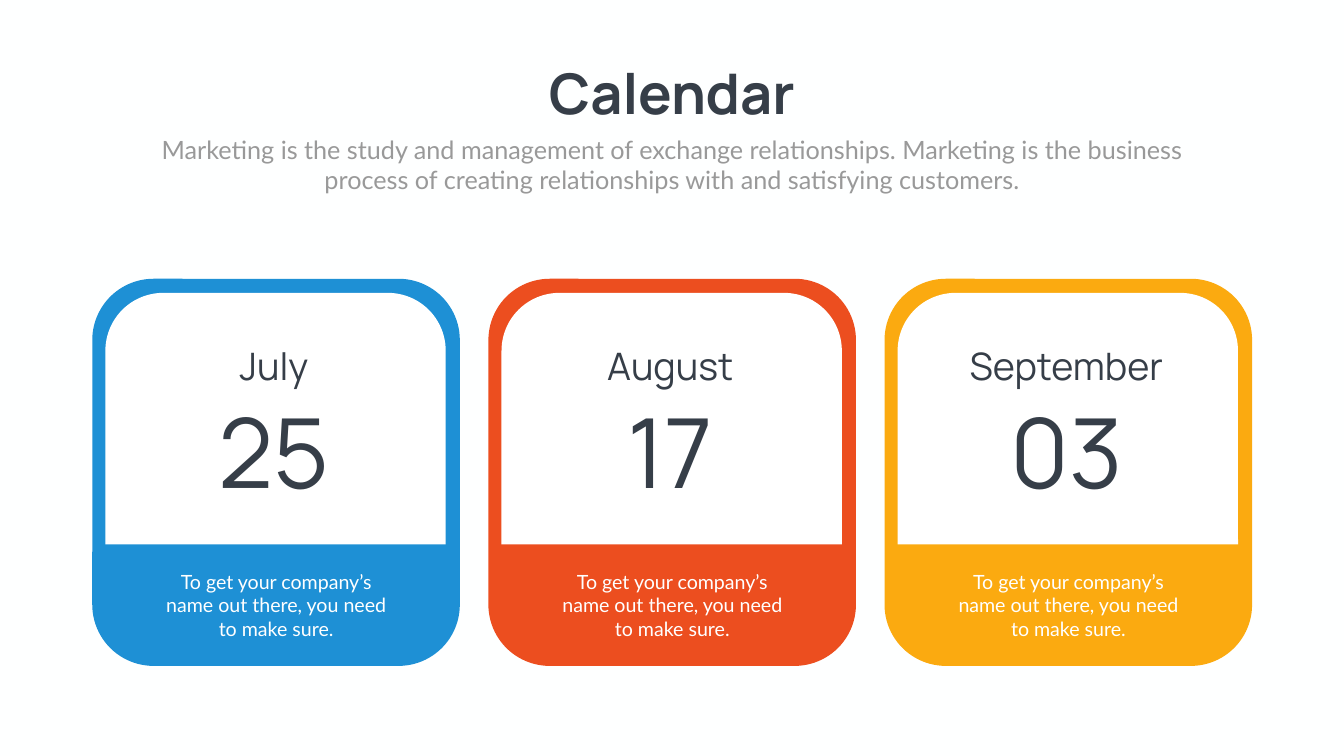
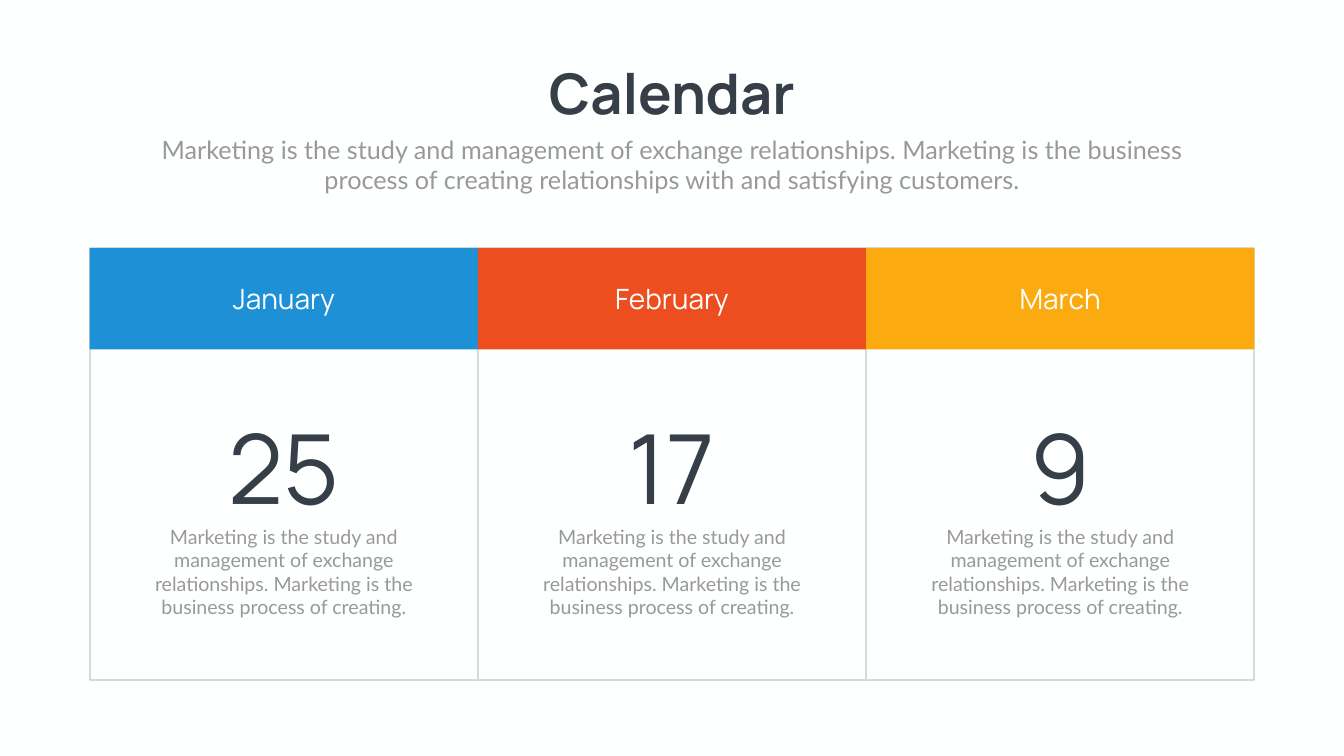
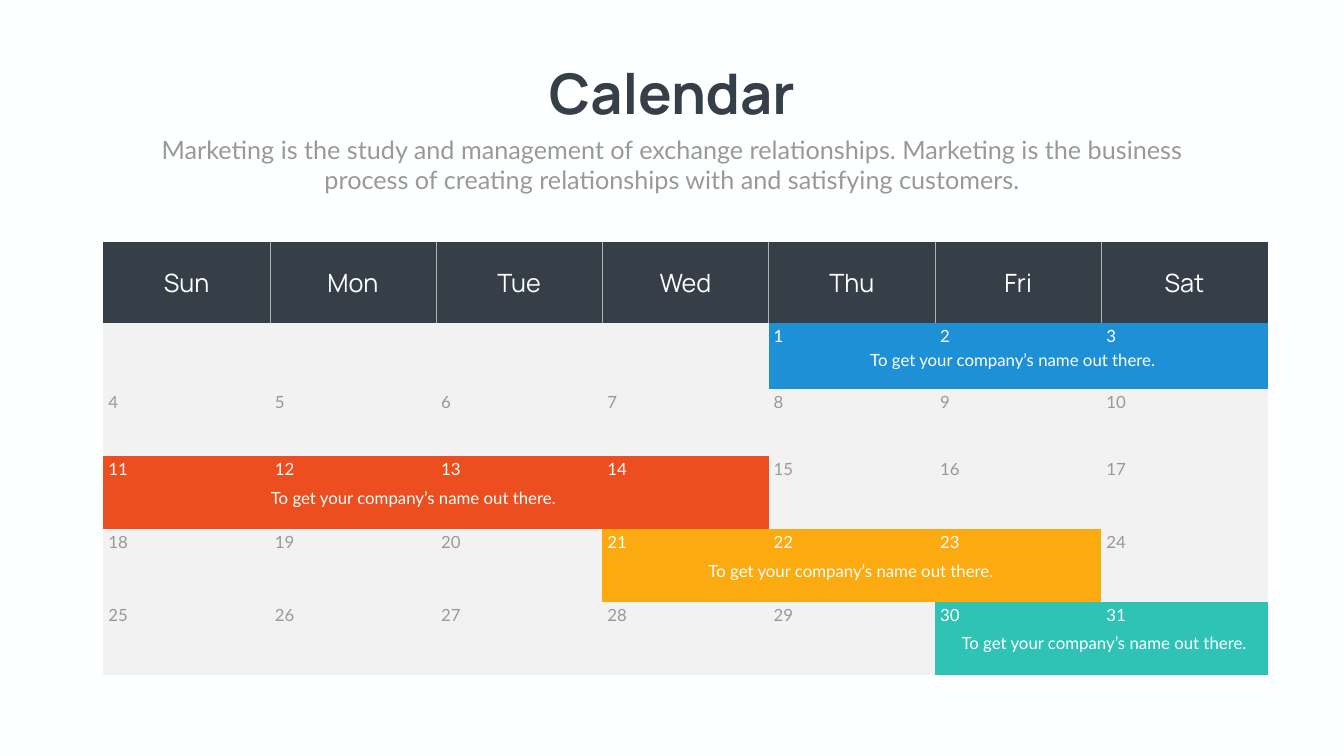
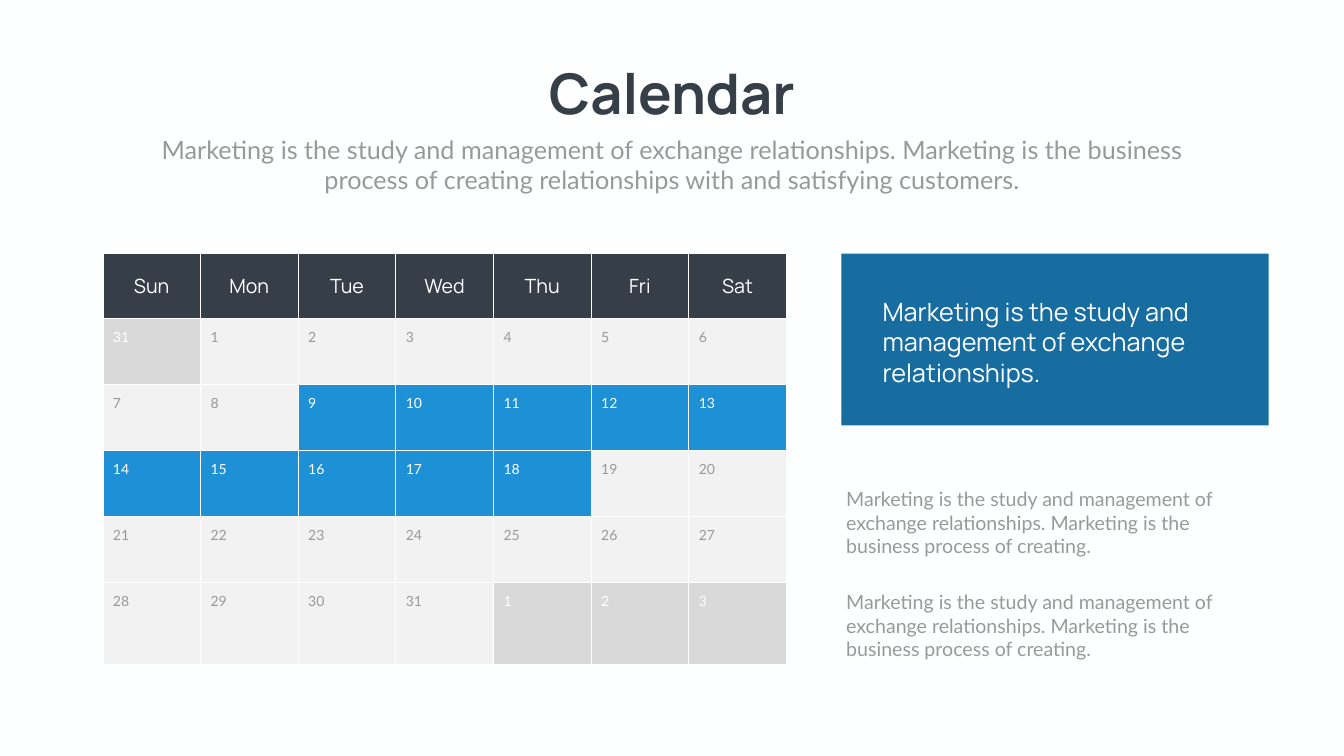
from lxml import etree
from pptx import Presentation
from pptx.dml.color import RGBColor
from pptx.enum.shapes import MSO_SHAPE
from pptx.enum.text import MSO_ANCHOR, MSO_AUTO_SIZE, PP_ALIGN
from pptx.oxml.ns import qn
from pptx.util import Cm, Pt

RECT, ROUND, ARCH = (MSO_SHAPE.RECTANGLE, MSO_SHAPE.ROUNDED_RECTANGLE,
                     MSO_SHAPE.ROUND_2_SAME_RECTANGLE)
TOP, MIDDLE = MSO_ANCHOR.TOP, MSO_ANCHOR.MIDDLE
LEFT, CENTER = PP_ALIGN.LEFT, PP_ALIGN.CENTER
GROW = MSO_AUTO_SIZE.SHAPE_TO_FIT_TEXT

# Colours and fonts
PAPER = RGBColor(0xFE, 0xFF, 0xFF)
WHITE = RGBColor(0xFF, 0xFF, 0xFF)
INK = RGBColor(0x36, 0x3E, 0x48)
GRAY = RGBColor(0x99, 0x99, 0x99)
RULE = RGBColor(0xB2, 0xB2, 0xB2)
SILVER = RGBColor(0xD9, 0xD9, 0xD9)
MIST = RGBColor(0xF2, 0xF2, 0xF2)
BLUE = RGBColor(0x1E, 0x90, 0xD5)
NAVY = RGBColor(0x17, 0x6C, 0xA0)
RED = RGBColor(0xEC, 0x4E, 0x1F)
AMBER = RGBColor(0xFB, 0xAA, 0x10)
TEAL = RGBColor(0x2F, 0xC3, 0xB6)
TRIO = (BLUE, RED, AMBER)
HEAD, BODY = "Manrope", "Lato"
PLAIN_TABLE = "{2D5ABB26-0587-4C30-8999-92F81FD0307C}"

# Shared wording
STUDY = "Marketing is the study and management of exchange relationships."
INTRO = (STUDY + " Marketing is the business process of creating relationships"
         " with and satisfying customers.")
BLURB = STUDY + " Marketing is the business process of creating."
EVENT = "To get your company’s name out there."
NOTE = "To get your company’s name out there, you need to make sure."
WEEK = ("Sun", "Mon", "Tue", "Wed", "Thu", "Fri", "Sat")


class Deck:
    """Holds the style and the current slide; lengths are in centimetres."""

    def __init__(self):
        self.prs = Presentation()
        self.prs.slide_width, self.prs.slide_height = Cm(67.72), Cm(38.1)
        fill = self.prs.slide_master.background.fill
        fill.solid()
        fill.fore_color.rgb = PAPER

    def page(self):
        self.slide = self.prs.slides.add_slide(self.prs.slide_layouts[0])
        title, intro = self.slide.placeholders
        self.place(title, 26.75, 2.84, 14.22, 3.68)
        self.letter(title.text_frame, "Calendar", 80, HEAD, INK, bold=True)
        title.text_frame.word_wrap = False
        self.place(intro, 7.42, 6.63, 52.88, 3.33)
        self.letter(intro.text_frame, INTRO, 36, BODY, GRAY)
        for item in (title, intro):
            item.text_frame.auto_size = GROW

    def place(self, item, x, y, w, h):
        item.left, item.top, item.width, item.height = map(Cm, (x, y, w, h))

    def letter(self, frame, text, size, face, color, align=CENTER,
               anchor=TOP, bold=False):
        frame.text = text
        frame.word_wrap = True
        frame.vertical_anchor = anchor
        self.style(frame.paragraphs[0], size, face, color, align, bold)

    def style(self, para, size, face, color, align, bold=False):
        para.alignment = align
        para.space_before = Pt(0)
        for run in para.runs:
            run.font.size, run.font.name = Pt(size), face
            run.font.bold = bold
            run.font.color.rgb = color

    def text(self, x, y, w, h, text, size, face, color, align=CENTER):
        box = self.slide.shapes.add_textbox(Cm(x), Cm(y), Cm(w), Cm(h))
        self.letter(box.text_frame, text, size, face, color, align)
        box.text_frame.auto_size = GROW
        return box.text_frame

    def label(self, mid, y, w, h, text, size):
        """Large tight text without insets, centred on mid."""
        frame = self.text(mid - w / 2, y, w, h, text, size, HEAD, INK)
        frame.vertical_anchor = MIDDLE
        frame.margin_left = frame.margin_right = 0
        frame.margin_top = frame.margin_bottom = 0
        frame.paragraphs[0].line_spacing = 0.9

    def shape(self, kind, x, y, w, h, fill=None, line=None):
        item = self.slide.shapes.add_shape(kind, Cm(x), Cm(y), Cm(w), Cm(h))
        item.shadow.inherit = False
        if fill is None:
            item.fill.background()
        else:
            item.fill.solid()
            item.fill.fore_color.rgb = fill
        if line is None:
            item.line.fill.background()
        else:
            item.line.color.rgb = line
            item.line.width = Pt(3)
        return item

    def border(self, cell, sides, color, width):
        props = cell._tc.get_or_add_tcPr()
        for side in sides:
            line = etree.SubElement(props, qn("a:ln" + side), w=str(Pt(width)))
            fill = etree.SubElement(line, qn("a:solidFill"))
            etree.SubElement(fill, qn("a:srgbClr"), val=str(color))

    def month(self, x, y, width, rows, sizes, days, edge, pads=None):
        """Week header and day cells; days are (text, fill, colour)."""
        table = self.slide.shapes.add_table(
            len(rows), len(WEEK), Cm(x), Cm(y),
            Cm(width * len(WEEK)), Cm(sum(rows))).table
        table.first_row = table.horz_banding = False
        table._tbl.tblPr.find(qn("a:tableStyleId")).text = PLAIN_TABLE
        for col in table.columns:
            col.width = Cm(width)
        for row, high in zip(table.rows, rows):
            row.height = Cm(high)
        cells = [(name, INK, WHITE) for name in WEEK] + days
        for spot, (text, fill, color) in enumerate(cells):
            row, col = divmod(spot, len(WEEK))
            cell = table.cell(row, col)
            self.border(cell, *edge(row, col))
            cell.fill.solid()
            cell.fill.fore_color.rgb = fill
            cell.text = text
            para = cell.text_frame.paragraphs[0]
            if row == 0:
                cell.vertical_anchor = MIDDLE
                self.style(para, sizes[0], HEAD, color, CENTER)
            else:
                self.style(para, sizes[1], BODY, color, LEFT)
            if pads:
                (cell.margin_left, cell.margin_top, cell.margin_right,
                 cell.margin_bottom) = map(Cm, pads[row > 0])


def cards(deck):
    deck.page()
    wide, step = 18.52, 19.96
    for i, color in enumerate(TRIO):
        x = 4.65 + i * step
        deck.shape(ROUND, x, 14.05, wide, 19.51, color)
        pane = deck.shape(ARCH, x + 0.66, 14.76, 17.15, 12.67, WHITE)
        pane.adjustments[0] = 0.23
    dates = (("July", "25", 8.61), ("August", "17", 8.61),
             ("September", "03", 11.43))
    for i, (name, day, room) in enumerate(dates):
        mid = 4.65 + wide / 2 + i * step
        deck.label(mid - 0.1, 20.32, 11.13, 5.46, day, 138)
        deck.label(mid - 0.1, 17.48, room, 2.13, name, 54)
        deck.text(mid - 6.18, 28.58, 12.37, 3.84, NOTE, 28, BODY, WHITE)


def columns(deck):
    deck.page()
    wide, top = 19.56, 12.5
    lefts = [4.52 + i * wide for i in range(3)]
    for x in lefts:
        deck.shape(RECT, x, top, wide, 21.79, line=SILVER)
    for x, color, name in zip(lefts, TRIO, ("January", "February", "March")):
        band = deck.shape(RECT, x, top, wide, 5.11, color)
        deck.letter(band.text_frame, name, 40, HEAD, WHITE, anchor=MIDDLE)
    for x, day in zip(lefts, ("25", "17", "9")):
        mid = x + wide / 2
        deck.label(mid, 21.13, 11.13, 5.46, day, 138)
        deck.text(mid - 7.39, 26.31, 14.78, 5.05, BLURB, 28, BODY, GRAY)


def planner(deck):
    deck.page()
    spans = ((1, 3, BLUE), (11, 14, RED), (21, 23, AMBER), (30, 31, TEAL))
    marks = {day: color for first, last, color in spans
             for day in range(first, last + 1)}
    days = [(str(day) if day > 0 else "", marks.get(day, MIST),
             WHITE if day in marks else GRAY) for day in range(-3, 32)]

    def edge(row, col):
        sides = ("L" if col > 0 else "") + ("R" if col < 6 else "")
        return ("" if row else sides), RULE, 0.5

    rows = [4.06] + [3.35] * 2 + [3.68] * 3
    deck.month(5.21, 12.22, 8.38, rows, (36, 24), days, edge)
    for x, y in ((43.43, 17.5), (48.03, 31.78), (35.28, 28.14), (13.23, 24.46)):
        deck.text(x, y, 15.19, 1.27, EVENT, 24, BODY, WHITE)


def month(deck):
    deck.page()
    days = [("31", SILVER, WHITE)]
    for day in range(1, 32):
        busy = 9 <= day <= 18
        days.append((str(day), BLUE if busy else MIST, WHITE if busy else GRAY))
    days += [(str(day), SILVER, WHITE) for day in range(1, 4)]
    rows = [3.25] + [3.33] * 4 + [4.14]
    pads = ((0.36, 0.18, 0.36, 0.18), (0.51, 0.51, 0.25, 0.13))
    deck.month(5.18, 12.78, 4.92, rows, (28, 20), days,
               lambda row, col: ("LRTB", WHITE, 1), pads)
    # Side panel
    x, wide = 42.39, 21.54
    deck.shape(RECT, x, 12.78, wide, 8.66, NAVY)
    for y in (24.43, 29.62):
        deck.text(x, y, wide, 3.84, BLURB, 28, BODY, GRAY, LEFT)
    deck.text(44.22, 14.81, 17.91, 4.88, STUDY, 36, HEAD, WHITE, LEFT)


def main():
    deck = Deck()
    for build in (cards, columns, planner, month):
        build(deck)
    deck.prs.save("out.pptx")


if __name__ == "__main__":
    main()
